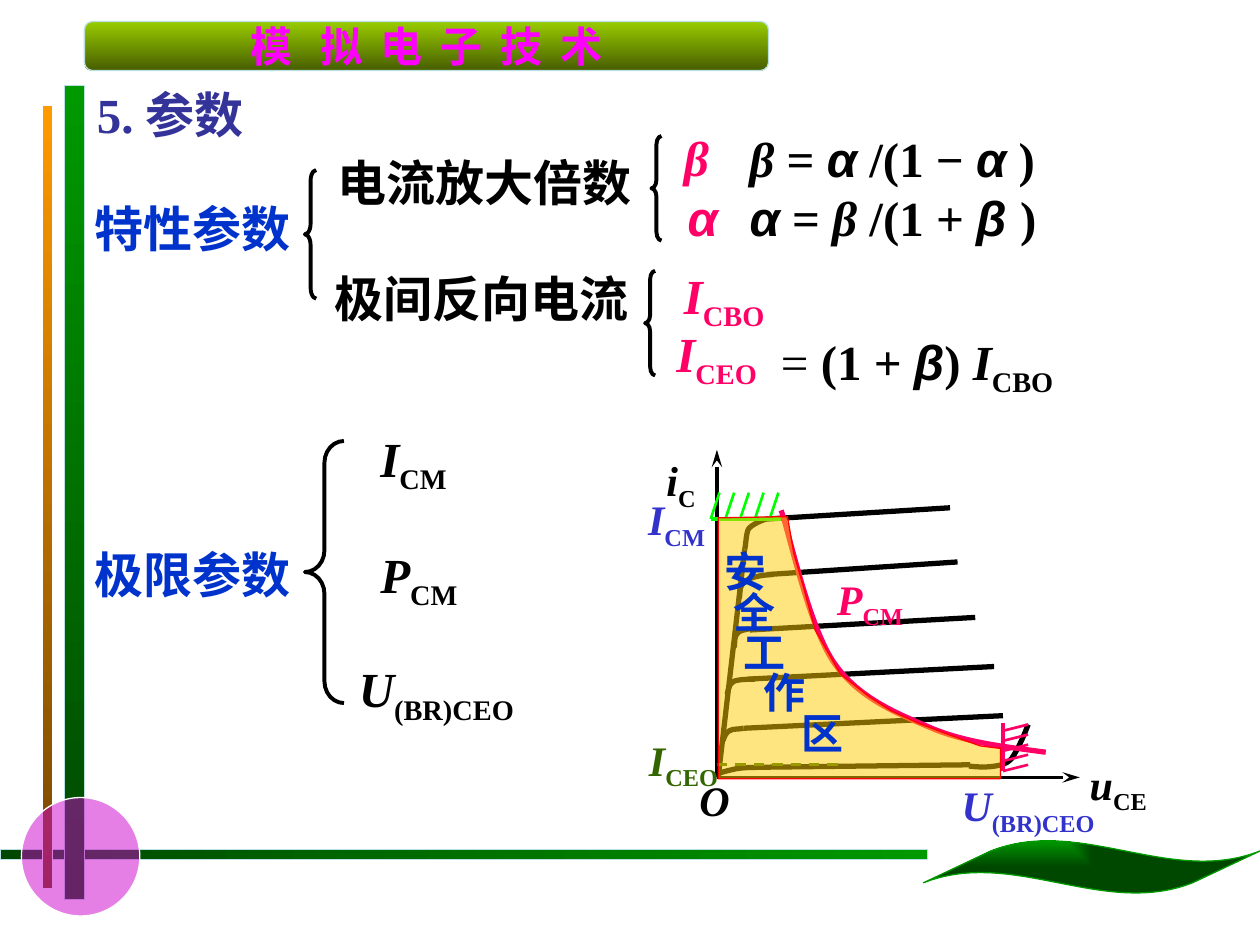
from dataclasses import dataclass

from lxml import etree
from pptx import Presentation
from pptx import util as u
from pptx.dml.color import RGBColor
from pptx.enum import dml, shapes, text
from pptx.oxml.ns import qn

SERIF, SANS, CJK = "Times New Roman", "Arial", "Noto Sans CJK SC"
BLACK, BLUE, NAVY, VIOLET = "000000", "0033CC", "333399", "3333CC"
PINK, GREEN, DARK, LIME = "FF0066", "009900", "004700", "00FF00"
OLIVE, PALE, WHITE = "336600", "BBE0E3", "FFFFFF"
Point = tuple[float, float]
Run = tuple[str, str]  # text, style letters: b bold, i italic, a sans, s subscript


@dataclass
class Label:
    x: float
    y: float
    w: float
    runs: list[Run]
    color: str = BLACK
    size: int = 28
    centered: bool = False


@dataclass
class Bar:
    kind: shapes.MSO_SHAPE
    box: tuple[float, float, float, float]
    stops: tuple[str, str]
    angle: int
    line: str = PALE
    width: float = 0.75


def L(inches: float) -> u.Length:
    """Length on the slide's inch grid."""
    return u.Cm(inches * 2.54)


def rgb(value: str) -> RGBColor:
    return RGBColor.from_string(value)


def sym(letter: str, sub: str) -> list[Run]:
    """Italic quantity with an upright subscript."""
    return [(letter, "bi"), (sub, "bs")]


def set_line(s, color: str, width: float) -> None:
    s.line.color.rgb = rgb(color)
    s.line.width = u.Pt(width)


def set_font(p, color: str, size: int, name: str = SERIF) -> None:
    p.font.size = u.Pt(size)
    p.font.color.rgb = rgb(color)
    p.font.name = name
    etree.SubElement(p.font._element, qn("a:ea"), typeface=CJK)


def add_shape(sl, kind, box, line: str, width: float):
    s = sl.shapes.add_shape(kind, *map(L, box))
    s.shadow.inherit = False
    set_line(s, line, width)
    return s


def half_clear(s, color: str) -> None:
    s.fill.solid()
    s.fill.fore_color.rgb = rgb(color)
    clr = s._element.spPr.find(qn("a:solidFill"))[0]
    etree.SubElement(clr, qn("a:alpha"), val="50000")


def add_bar(sl, bar: Bar):
    s = add_shape(sl, bar.kind, bar.box, bar.line, bar.width)
    s.fill.gradient()
    s.fill.gradient_angle = -bar.angle % 360
    for stop, color in zip(s.fill.gradient_stops, bar.stops):
        stop.color.rgb = rgb(color)
    return s


def add_brace(sl, box, bend: float) -> None:
    s = add_shape(sl, shapes.MSO_SHAPE.LEFT_BRACE, box, BLACK, 2.25)
    s.fill.background()
    s.adjustments[0] = bend


def add_line(sl, a: Point, b: Point, color: str = BLACK, width: float = 3,
             arrow: bool = False, dashed: bool = False) -> None:
    c = sl.shapes.add_connector(shapes.MSO_CONNECTOR.STRAIGHT, *map(L, a + b))
    set_line(c, color, width)
    if dashed:
        c.line.dash_style = dml.MSO_LINE.DASH
    if arrow:
        etree.SubElement(c.line._get_or_add_ln(), qn("a:tailEnd"), type="stealth", len="lg")
    etree.SubElement(c._element.spPr, qn("a:effectLst"))


def add_outline(sl, points: list[Point], color: str, width: float, close: bool = False):
    pts = [(L(x), L(y)) for x, y in points]
    builder = sl.shapes.build_freeform(*pts[0], scale=1.0)
    builder.add_line_segments(pts[1:], close=close)
    s = builder.convert_to_shape()
    s.shadow.inherit = False
    set_line(s, color, width)
    s.fill.background()
    return s


def add_curve(sl, points: list[Point], color: str, width: float) -> None:
    """Cubic curve: a start, then two handles and an end per segment."""
    s = add_outline(sl, points, color, width)
    steps = list(s._element.spPr.iter(qn("a:lnTo")))
    for i in range(0, len(steps), 3):
        cubic = etree.Element(qn("a:cubicBezTo"))
        steps[i].addprevious(cubic)
        for step in steps[i:i + 3]:
            cubic.append(step[0])
            step.getparent().remove(step)


def add_label(sl, lb: Label) -> None:
    tf = sl.shapes.add_textbox(L(lb.x), L(lb.y), L(lb.w), L(lb.size / 56 + 0.07)).text_frame
    tf.word_wrap = not lb.centered
    p = tf.paragraphs[0]
    p.alignment = text.PP_ALIGN.CENTER if lb.centered else text.PP_ALIGN.LEFT
    set_font(p, lb.color, lb.size)
    for content, style in lb.runs:
        r = p.add_run()
        r.text = content
        r.font.bold = "b" in style
        r.font.italic = "i" in style
        if "a" in style:
            r.font.name = SANS
        if "s" in style:
            r.font._element.set("baseline", "-25000")


def draw_frame(sl) -> None:
    m = shapes.MSO_SHAPE
    for bar in (Bar(m.RECTANGLE, (0, 6.74, 7.36, 0.08), (DARK, GREEN), 0),
                Bar(m.RECTANGLE, (0.51, 0.68, 0.16, 6.46), (GREEN, DARK), 90),
                Bar(m.RECTANGLE, (0.34, 0.84, 0.08, 6.21), ("FF9900", "764700"), 90, WHITE, 0.5)):
        add_bar(sl, bar)
    half_clear(add_shape(sl, m.OVAL, (0.17, 6.33, 0.94, 0.94), WHITE, 0.75), "CC00CC")

    banner = add_bar(sl, Bar(m.FLOWCHART_ALTERNATE_PROCESS, (0.67, 0.17, 5.43, 0.39),
                             ("99CC00", "475E00"), 90))
    tf = banner.text_frame
    tf.word_wrap = False
    tf.vertical_anchor = text.MSO_ANCHOR.MIDDLE
    p = tf.paragraphs[0]
    p.alignment = text.PP_ALIGN.CENTER
    set_font(p, "FF00FF", 24, CJK)
    p.font.bold = True
    for content, spacing in (("模 ", "550"), ("拟 电 子 技 术", "240")):
        r = p.add_run()
        r.text = content
        r.font._element.set("spc", spacing)

    leaf = add_bar(sl, Bar(m.WAVE, (7.33, 6.67, 2.67, 0.42), (GREEN, DARK), 0, GREEN))
    leaf.adjustments[0], leaf.adjustments[1] = 0.206, -0.1
    grad = leaf._element.spPr.find(qn("a:gradFill"))
    grad.remove(grad.find(qn("a:lin")))
    corner = etree.SubElement(grad, qn("a:path"), {"path": "rect"})
    etree.SubElement(corner, qn("a:fillToRect"), r="100000", b="100000")


def draw_parameters(sl) -> None:
    for box, bend in (((2.42, 3.5, 0.31, 2.08), 0.556), ((2.42, 1.35, 0.09, 1.02), 0.942),
                      ((5.17, 1.08, 0.08, 0.83), 0.833), ((5.12, 2.15, 0.08, 0.83), 0.833)):
        add_brace(sl, box, bend)
    for lb in (
        Label(0.67, 0.62, 2.15, [("5. 参数", "b")], NAVY),
        Label(0.65, 1.53, 2.1, [("特性参数", "b")], BLUE),
        Label(2.58, 1.16, 2.83, [("电流放大倍数", "b")]),
        Label(5.33, 0.96, 1.19, [("β", "bi")], PINK),
        Label(5.36, 1.44, 1.16, [("α", "bia")], PINK),
        Label(5.85, 0.97, 3.4, [("β", "bi"), (" = ", "b"), ("α", "bia"), (" /(1 − ", "b"),
                                ("α", "bia"), (" )", "b")]),
        Label(5.85, 1.44, 3.22, [("α", "bia"), (" = ", "b"), ("β ", "bi"), ("/(1 + ", "b"),
                                 ("β ", "bia"), (")", "b")]),
        Label(2.56, 2.08, 2.83, [("极间反向电流", "b")]),
        Label(5.33, 2.06, 2.46, sym("I", "CBO"), PINK),
        Label(5.27, 2.52, 1.06, sym("I", "CEO"), PINK),
        Label(6.1, 2.58, 3, [("= ", ""), ("(1 + ", "b"), ("β", "bia"), (") ", "b")]
              + sym("I", "CBO")),
        Label(0.65, 4.27, 2.1, [("极限参数", "b")], BLUE),
        Label(2.92, 3.35, 1, sym("I", "CM")),
        Label(2.92, 4.27, 1.08, sym("P", "CM")),
        Label(2.75, 5.18, 1.83, sym("U", "(BR)CEO")),
    ):
        add_label(sl, lb)


def draw_characteristics(g) -> None:
    for tip in ((8.57, 6.17), (5.69, 3.57)):
        add_line(g, (5.69, 6.17), tip, width=2, arrow=True)
    for a, b in (((5.7, 6.17), (5.91, 4.36)), ((6.08, 4.12), (7.54, 4.03)),
                 ((6.09, 4.56), (7.6, 4.46)), ((5.95, 5), (7.74, 4.9)),
                 ((5.94, 5.39), (7.89, 5.29)), ((5.9, 5.78), (7.96, 5.68)),
                 ((5.99, 6.09), (7.7, 6.07))):
        add_line(g, a, b)
    for knee in (
        [(5.91, 4.36), (5.92, 4.34), (5.92, 4.24), (5.94, 4.2), (5.97, 4.16), (6.05, 4.13), (6.08, 4.12)],
        [(5.87, 4.75), (5.87, 4.69), (5.87, 4.64), (5.92, 4.61), (5.97, 4.57), (6.1, 4.56), (6.14, 4.56)],
        [(5.7, 6.14), (5.72, 6.13), (5.8, 6.11), (5.85, 6.1), (5.91, 6.09), (5.99, 6.09), (6.03, 6.09)],
        [(5.83, 5.14), (5.83, 5.09), (5.83, 5.05), (5.85, 5.03), (5.87, 5), (5.91, 5), (5.95, 4.99)],
        [(5.77, 5.51), (5.78, 5.49), (5.78, 5.43), (5.82, 5.41), (5.85, 5.39), (5.96, 5.39), (5.99, 5.39)],
        [(5.74, 5.88), (5.74, 5.87), (5.76, 5.81), (5.79, 5.8), (5.82, 5.78), (5.88, 5.79), (5.9, 5.78)],
        [(7.69, 6.08), (7.77, 6.09), (7.84, 6.09), (7.9, 6.08), (7.95, 6.07), (7.98, 6.07), (8.03, 6.02),
         (8.07, 5.96), (8.12, 5.86), (8.16, 5.75)],
    ):
        add_curve(g, knee, BLACK, 3)
    add_line(g, (5.69, 6.07), (6.7, 6.07), OLIVE, 1.5, dashed=True)
    for x, y, w, runs, color in ((8.53, 5.97, 0.69, sym("u", "CE"), BLACK),
                                 (5.45, 6.1, 0.44, [("O", "bi")], BLACK),
                                 (5.02, 5.78, 0.81, sym("I", "CEO"), OLIVE),
                                 (5.18, 3.56, 0.45, sym("i", "C"), BLACK)):
        add_label(g, Label(x, y, w, runs, color, 24, True))


def draw_limits(sl) -> None:
    current, voltage = sl.shapes.add_group_shape(), sl.shapes.add_group_shape()
    add_line(current, (5.64, 4.12), (6.2, 4.12), LIME, 2.25)
    add_line(voltage, (7.96, 6.12), (7.96, 5.74), PINK, 2.25)
    for i in range(5):
        x, y = 5.64 + 0.117 * i, 6.12 - 0.08 * i
        add_line(current, (x + 0.07, 3.91), (x, 4.12), LIME, 1.5)
        add_line(voltage, (8.16, y - 0.05), (7.96, y), PINK, 1.5)
    add_curve(sl, [(6.2, 4.05), (6.27, 4.25), (6.42, 4.97), (6.62, 5.26), (6.82, 5.55), (7.14, 5.67),
                   (7.42, 5.79), (7.7, 5.9), (8.01, 5.93), (8.3, 5.97)], PINK, 3)
    for x, y, w, runs, color in ((5.02, 3.87, 0.7, sym("I", "CM"), VIOLET),
                                 (7.47, 6.14, 1.38, sym("U", "(BR)CEO"), VIOLET),
                                 (6.52, 4.5, 0.77, sym("P", "CM"), PINK)):
        add_label(sl, Label(x, y, w, runs, color, 24, True))


def draw_safe_area(sl) -> None:
    border = [(5.7, 4.11), (6.25, 4.1), (6.3, 4.39), (6.38, 4.67), (6.47, 5), (6.67, 5.35),
              (6.9, 5.53), (7.07, 5.64), (7.29, 5.74), (7.53, 5.83), (7.78, 5.92),
              (7.94, 5.94), (7.94, 6.18), (5.7, 6.18)]
    half_clear(add_outline(sl, border, "FF0000", 0.75, close=True), "FFCC00")
    tf = sl.shapes.add_textbox(L(5.65), L(4.36), L(1.46), L(1.7)).text_frame
    tf.word_wrap = True
    for i, (char, indent) in enumerate(zip("安全工作区", (0, 1, 2, 4, 8))):
        p = tf.paragraphs[0] if i == 0 else tf.add_paragraph()
        p._p.get_or_add_pPr().set("marL", str(L(indent / 13)))
        p.line_spacing = 0.8
        set_font(p, BLUE, 24)
        p.font.bold = True
        p.add_run().text = char


def main() -> None:
    prs = Presentation()
    prs.slide_width, prs.slide_height = L(10), L(7.5)
    sl = prs.slides.add_slide(prs.slide_layouts[6])
    draw_frame(sl)
    draw_parameters(sl)
    draw_characteristics(sl.shapes.add_group_shape())
    draw_limits(sl)
    draw_safe_area(sl)
    prs.save("out.pptx")


if __name__ == "__main__":
    main()
